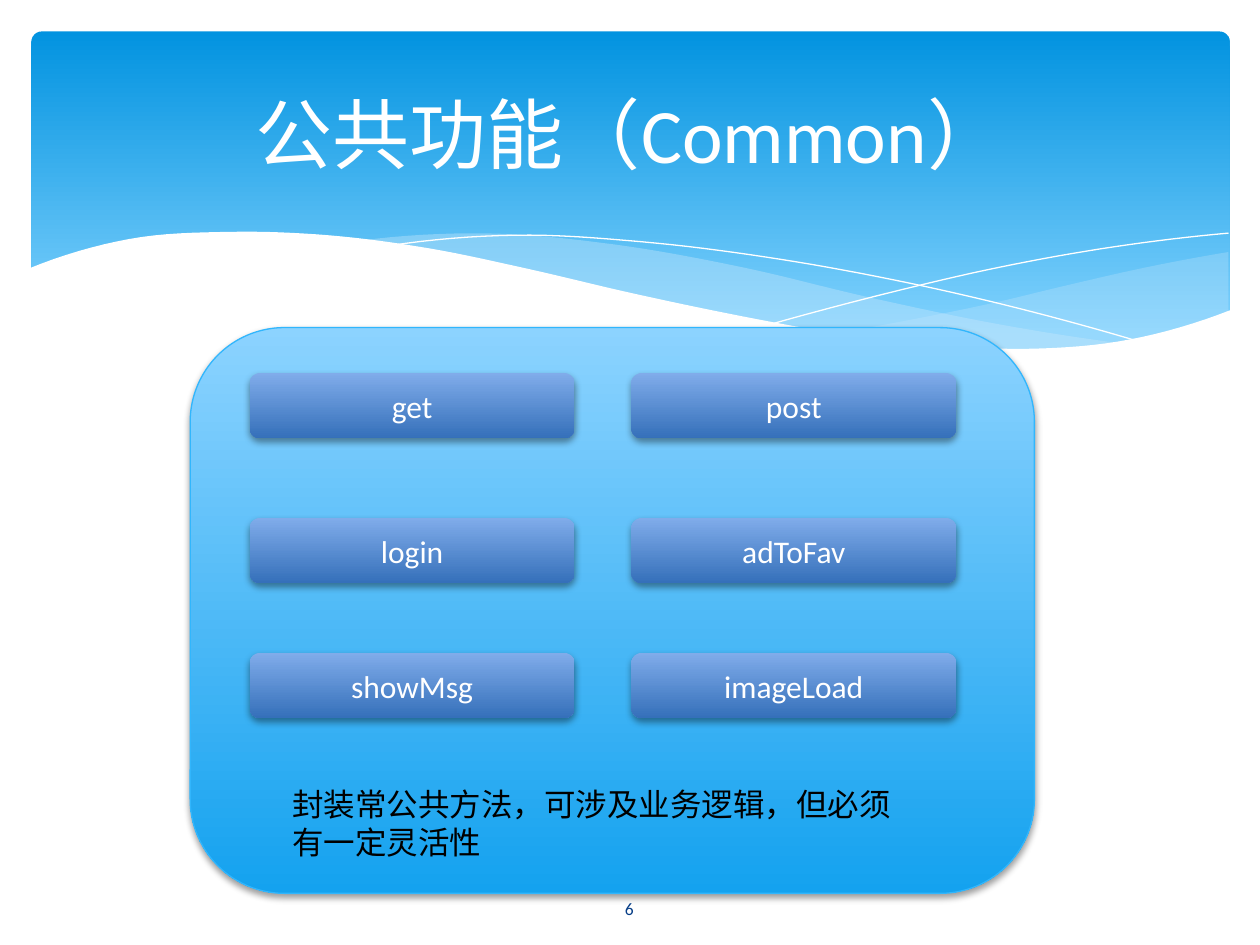
from lxml import etree
from pptx import Presentation
from pptx.dml.color import RGBColor
from pptx.enum.shapes import MSO_SHAPE
from pptx.enum.text import MSO_ANCHOR, MSO_AUTO_SIZE, PP_ALIGN
from pptx.oxml import parse_xml
from pptx.oxml.ns import nsdecls, qn
from pptx.util import Pt

ROUNDED = MSO_SHAPE.ROUNDED_RECTANGLE
PANEL = MSO_SHAPE.FLOWCHART_ALTERNATE_PROCESS
MIDDLE, TOP = MSO_ANCHOR.MIDDLE, MSO_ANCHOR.TOP
CENTER, LEFT = PP_ALIGN.CENTER, PP_ALIGN.LEFT
GROW = MSO_AUTO_SIZE.SHAPE_TO_FIT_TEXT

WHITE = RGBColor(0xFF, 0xFF, 0xFF)
BLACK = RGBColor(0, 0, 0)
NAVY = RGBColor(0x07, 0x3E, 0x87)
PALE_BLUE = RGBColor(0xC6, 0xE7, 0xFC)
PANEL_EDGE = RGBColor(0x31, 0xB6, 0xFD)
BANNER_STOPS = ((0, RGBColor(0x02, 0x93, 0xE0)), (0.9, RGBColor(0x83, 0xD3, 0xFE)))
PANEL_STOPS = ((0, RGBColor(0x8C, 0xD3, 0xFF)), (1, RGBColor(0x14, 0xA2, 0xEF)))
BUTTON_STOPS = ((0, RGBColor(0x80, 0xAC, 0xEA)), (1, RGBColor(0x35, 0x70, 0xBA)))

SHADOW = (
    f'<a:effectLst {nsdecls("a")}>'
    '<a:outerShdw blurRad="50800" dist="25400" dir="5400000" rotWithShape="0">'
    '<a:srgbClr val="000000"><a:alpha val="38000"/></a:srgbClr>'
    '</a:outerShdw></a:effectLst>'
)

STEPS_PER_KNOT = 8
RIGHT_TOP = (190.8, 182.6, 173.4, 162.6, 152.4, 144)
RIGHT_BOTTOM = (190.8, 196.1, 199.8, 199.2, 192.3, 177.8)
CENTER_TOP = (137.5, 133.4, 139.8, 152.8, 170.1, 185.2, 196.6)
CENTER_BOTTOM = (137.5, 149.7, 166.6, 182, 194.1, 200.2, 196.6)
FALLING = (140.4, 134.4, 138.1, 146.9, 159.7, 176, 195.8)
RISING = (185, 167.7, 152.6, 141, 133.2)
WHITE_TOP = (153.4, 136.6, 132.5, 134.5, 142, 153.9, 167.3,
             179.4, 189.8, 196.6, 199.3, 193.9, 177.1)
WHITE_BOTTOM = (236.9,) * 3

WAVES = (
    {"left": 475.9, "right": 702, "edges": (RIGHT_TOP, RIGHT_BOTTOM), "color": PALE_BLUE, "opacity": 29},
    {"left": 205.9, "right": 643, "edges": (CENTER_TOP, CENTER_BOTTOM), "color": PALE_BLUE, "opacity": 40},
    {"left": 222.5, "right": 653, "edges": (FALLING,)},
    {"left": 441.4, "right": 702, "edges": (RISING,)},
    {"left": 16.6, "right": 703.4, "edges": (WHITE_TOP, WHITE_BOTTOM), "color": WHITE, "opacity": 100},
)


def add_gradient_box(kind, place, stops, shadowed=True):
    box = page.shapes.add_shape(kind, *map(Pt, place))
    box.shadow.inherit = False
    box.fill.gradient()
    box.fill.gradient_angle = 270
    for stop, (position, color) in zip(box.fill.gradient_stops, stops):
        stop.position = position
        stop.color.rgb = color
    box.line.fill.background()
    if shadowed:
        properties = box.element.spPr
        properties.replace(properties.find(qn("a:effectLst")), parse_xml(SHADOW))
    return box


def write(box, text, size, color, align=CENTER, anchor=MIDDLE):
    frame = box.text_frame
    frame.word_wrap = True
    frame.vertical_anchor = anchor
    para = frame.paragraphs[0]
    para.alignment = align
    span = para.add_run()
    span.text = text
    span.font.color.rgb = color
    for name, value in {"name": "Calibri", "size": Pt(size), "bold": False}.items():
        setattr(span.font, name, value)


deck = Presentation()
deck.slide_width, deck.slide_height = Pt(720), Pt(540)
page = deck.slides.add_slide(deck.slide_layouts[5])

banner = add_gradient_box(ROUNDED, (18, 18, 684.7, 194.4), BANNER_STOPS, shadowed=False)
banner.adjustments[0] = 0.03

for wave in WAVES:
    outline = []
    for direction, heights in zip((1, -1), wave["edges"]):
        before = 3 * heights[0] - 3 * heights[1] + heights[2]
        after = 3 * heights[-1] - 3 * heights[-2] + heights[-3]
        knots = (before, *heights, after)
        spans = len(heights) - 1
        spacing = (wave["right"] - wave["left"]) / spans
        curve = []
        for step in range(spans * STEPS_PER_KNOT + 1):
            knot = min(step // STEPS_PER_KNOT, spans - 1)
            t = step / STEPS_PER_KNOT - knot
            a, b, c, d = knots[knot:knot + 4]
            bend = (2 * a - 5 * b + 4 * c - d) * t**2 + (3 * b - a - 3 * c + d) * t**3
            height = b + ((c - a) * t + bend) / 2
            curve.append((Pt(wave["left"] + (knot + t) * spacing), Pt(height)))
        outline += curve[::direction]

    filled = "color" in wave
    builder = page.shapes.build_freeform(*outline[0])
    builder.add_line_segments(outline[1:], close=filled)
    shape = builder.convert_to_shape()
    shape.shadow.inherit = False
    if filled:
        shape.fill.solid()
        shape.fill.fore_color.rgb = wave["color"]
        shape.line.fill.background()
        tint = shape.element.spPr.find(qn("a:solidFill"))[0]
        etree.SubElement(tint, qn("a:alpha"), val=str(wave["opacity"] * 1000))
    else:
        shape.fill.background()
        shape.line.color.rgb = WHITE
        shape.line.width = Pt(0)

title = page.shapes.title
title.element.getparent().append(title.element)
for name, value in {"left": 36, "top": 26.6, "width": 648, "height": 98.6}.items():
    setattr(title, name, Pt(value))
write(title, "公共功能（Common）", 44, WHITE)

panel = add_gradient_box(PANEL, (108.7, 187.2, 482.4, 323.3), PANEL_STOPS)
panel.line.color.rgb = PANEL_EDGE
panel.line.width = Pt(0.75)

button_columns = (142.6, 360.7)
button_rows = {
    213.1: ("get", "post"),
    295.9: ("login", "adToFav"),
    373: ("showMsg", "imageLoad"),
}
for top, labels in button_rows.items():
    for left, label in zip(button_columns, labels):
        button = add_gradient_box(PANEL, (left, top, 185.8, 37.4), BUTTON_STOPS)
        write(button, label, 18, WHITE)

page_number = page.shapes.add_textbox(Pt(313.9), Pt(504.7), Pt(91.4), Pt(28.8))
write(page_number, "6", 10, NAVY)

summary = page.shapes.add_textbox(Pt(159.8), Pt(445), Pt(373.7), Pt(51.1))
write(summary, "封装常公共方法，可涉及业务逻辑，但必须有一定灵活性", 18, BLACK, LEFT, TOP)
summary.text_frame.auto_size = GROW

deck.save("out.pptx")
